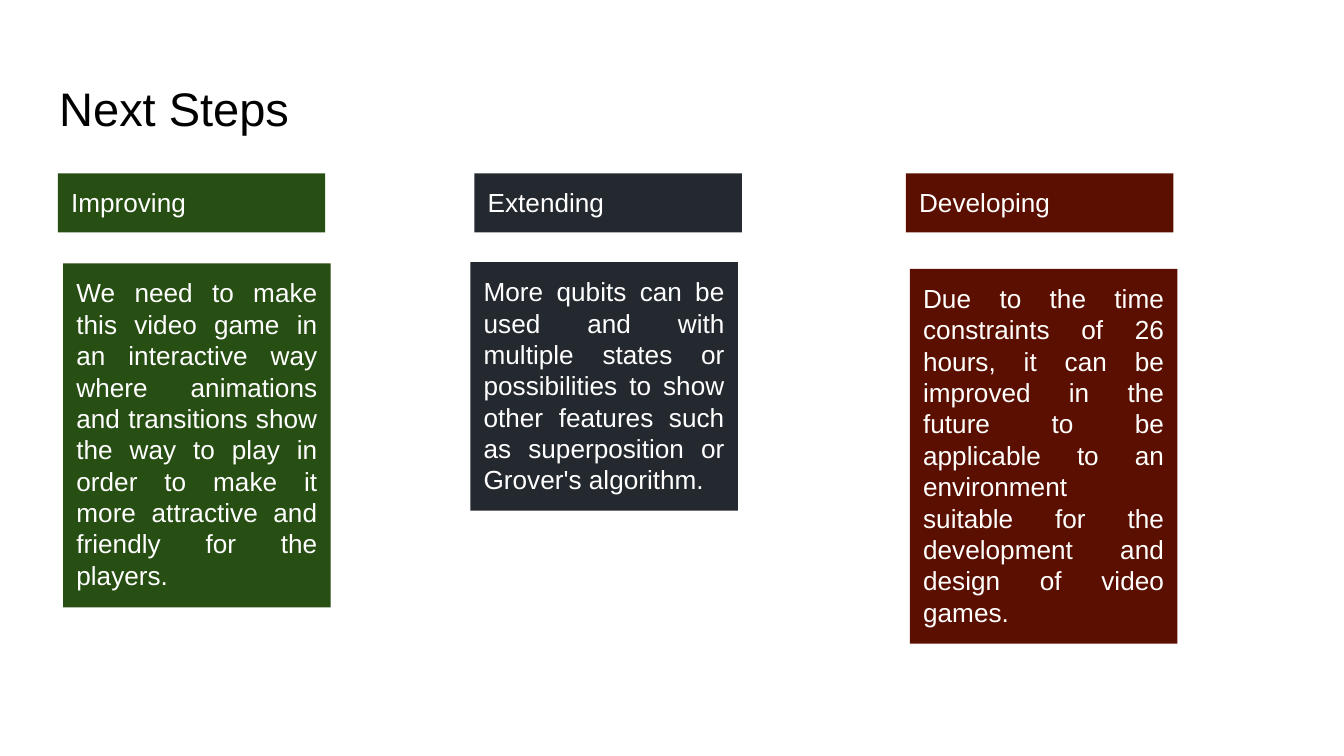
"""Build the Next Steps slide with three coloured columns."""
from pptx import Presentation
from pptx.dml.color import RGBColor
from pptx.enum.shapes import MSO_SHAPE
from pptx.enum.text import MSO_ANCHOR, MSO_AUTO_SIZE, PP_ALIGN
from pptx.util import Inches, Pt


def color(value):
    return RGBColor.from_string(value)


def write(frame, text, size, text_color, align, anchor):
    frame.word_wrap = True
    frame.vertical_anchor = anchor
    frame.margin_left = frame.margin_right = Inches(0.1)
    frame.margin_top = frame.margin_bottom = Inches(0.1)
    para = frame.paragraphs[0]
    para.alignment = align
    span = para.add_run()
    span.text = text
    span.font.name = "Arial"
    span.font.size = Pt(size)
    span.font.color.rgb = color(text_color)


deck = Presentation()
deck.slide_width = Inches(10)
deck.slide_height = deck.slide_width * 9 // 16
page = deck.slides.add_slide(deck.slide_layouts[5])

title = page.shapes.title
title.left, title.top = Inches(0.34), Inches(0.49)
title.width, title.height = Inches(9.32), Inches(0.63)
write(title.text_frame, "Next Steps", 25.2, "000000", PP_ALIGN.LEFT, MSO_ANCHOR.MIDDLE)
title.text_frame.auto_size = MSO_AUTO_SIZE.NONE

columns = [
    ("Improving", 0.43, "274E13", "FFFFFF", (0.47, 1.96, 2.56),
     "We need to make this video game in an interactive way where animations and "
     "transitions show the way to play in order to make it more attractive and "
     "friendly for the players."),
    ("Extending", 3.53, "24292F", "FFFFFF", (3.5, 1.95, 1.85),
     "More qubits can be used and with multiple states or possibilities to show "
     "other features such as superposition or Grover's algorithm."),
    ("Developing", 6.74, "5B0F00", "FFFFFE", (6.77, 2, 2.79),
     "Due to the time constraints of 26 hours, it can be improved in the future to "
     "be applicable to an environment suitable for the development and design of "
     "video games."),
]

for heading, heading_left, fill, text_color, body_place, body in columns:
    boxes = [
        (heading, (heading_left, 1.29, 0.44), PP_ALIGN.LEFT),
        (body, body_place, PP_ALIGN.JUSTIFY),
    ]
    for text, (left, top, height), align in boxes:
        box = page.shapes.add_shape(
            MSO_SHAPE.RECTANGLE, Inches(left), Inches(top), Inches(1.99), Inches(height))
        box.shadow.inherit = False
        box.fill.solid()
        box.fill.fore_color.rgb = color(fill)
        box.line.fill.background()
        write(box.text_frame, text, 14, text_color, align, MSO_ANCHOR.TOP)
        box.text_frame.auto_size = MSO_AUTO_SIZE.SHAPE_TO_FIT_TEXT

deck.save("out.pptx")
